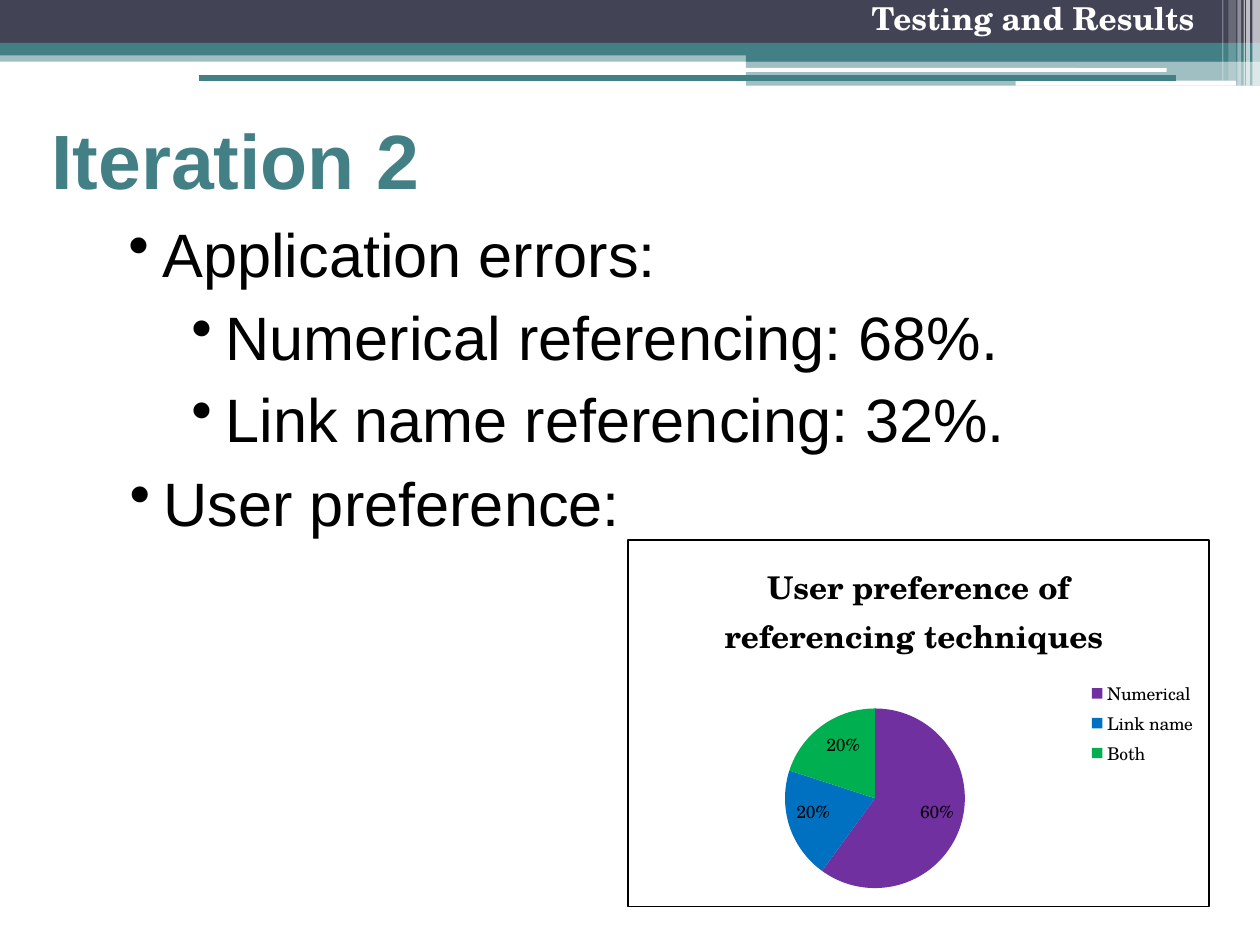
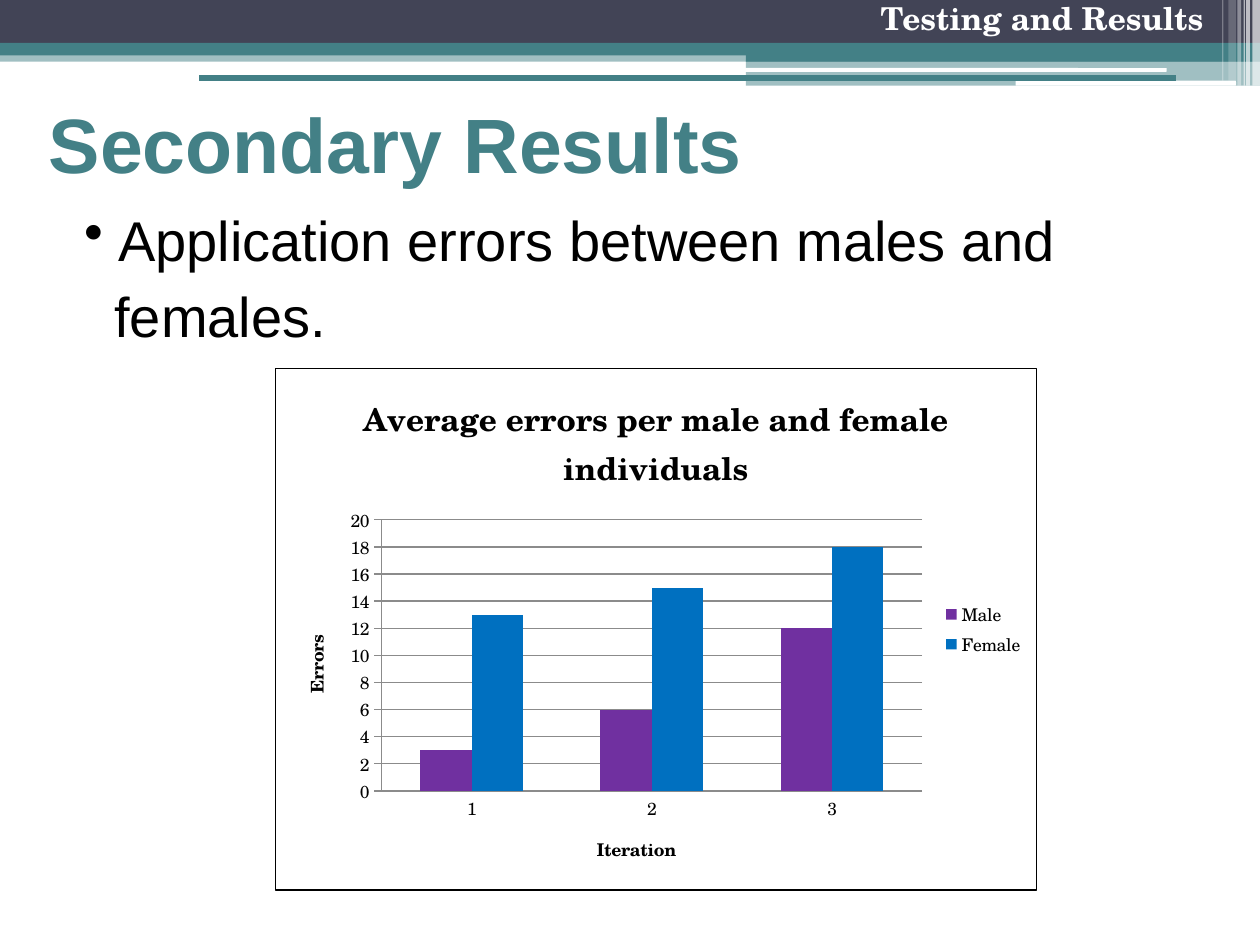
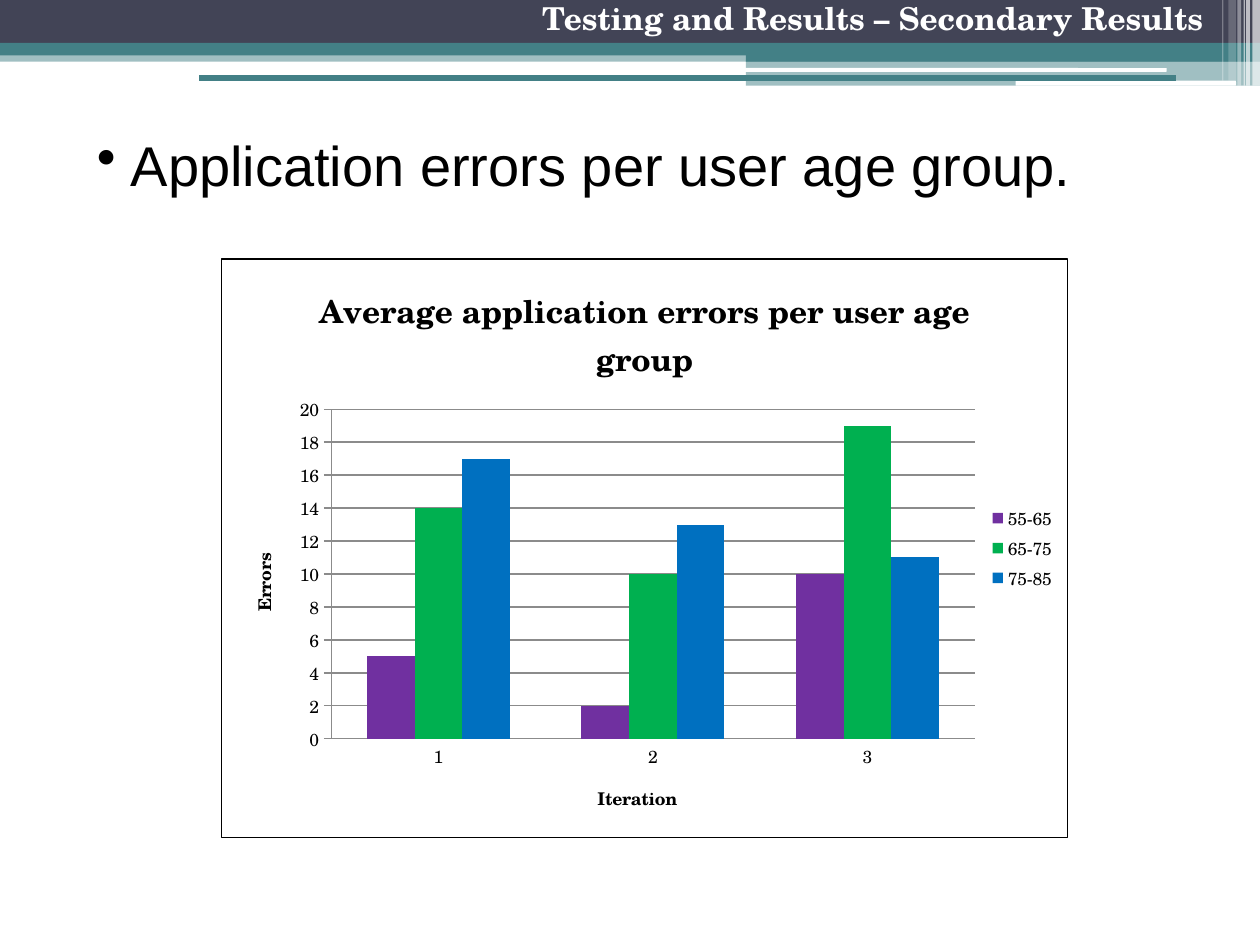
from lxml.etree import SubElement
from pptx import Presentation
from pptx.chart.data import CategoryChartData
from pptx.dml.color import RGBColor
from pptx.enum.chart import XL_CHART_TYPE as ChartType
from pptx.enum.chart import XL_LABEL_POSITION as LabelPosition
from pptx.enum.chart import XL_LEGEND_POSITION as LegendPosition
from pptx.enum.chart import XL_TICK_MARK as TickMark
from pptx.enum.shapes import MSO_CONNECTOR as Connector
from pptx.enum.shapes import MSO_SHAPE as Shape
from pptx.enum.text import MSO_ANCHOR as Anchor
from pptx.enum.text import PP_ALIGN as Align
from pptx.oxml import parse_xml
from pptx.oxml.ns import nsdecls, qn
from pptx.util import Inches, Pt

TEAL, SLATE, WHITE, BLACK = "438086", "424456", "FFFFFF", "000000"
PURPLE, BLUE, GREEN, GRAY = "7030A0", "0070C0", "00B050", "8B8B8B"
SANS, SERIF = "Arial", "TeX Gyre Schola"

# left, top, width, height, colour, opacity in percent
BANDS = [
    (0, 0.4, 10, 0.09, TEAL, 50),
    (0, 0, 10, 0.34, SLATE, 100),
    (0, 0.34, 10, 0.1, TEAL, 100),
    (5.92, 0.39, 4.08, 0.1, TEAL, 100),
    (5.92, 0.48, 4.08, 0.2, TEAL, 50),
]
ROUNDED_BARS = [(5.91, 0.54, 3.35, 0.03), (8.06, 0.64, 1.75, 0.04)]
# left, width, height, opacity in percent
STRIPES = [
    (9.94, 0.06, 0.68, 65),
    (9.89, 0.03, 0.68, 65),
    (9.87, 0.01, 0.68, 60),
    (9.82, 0.03, 0.68, 40),
    (9.75, 0.06, 0.64, 20),
    (9.7, 0.01, 0.64, 30),
]
BULLET_MARGINS = {1: 0.72, 2: 1.22}
HANGING = -0.27


def color(hex_string):
    return RGBColor.from_string(hex_string)


def paint(fill, hex_string):
    fill.solid()
    fill.fore_color.rgb = color(hex_string)


def write(paragraph, text, size=10, font=SERIF, fill=BLACK, bold=False,
          align=None, margin=0, indent=0, before=0, after=0, spacing=None,
          bullet=None):
    """Add one run of text to a paragraph and format both."""
    run = paragraph.add_run()
    run.text = text
    run.font.size, run.font.name, run.font.bold = Pt(size), font, bold
    run.font.color.rgb = color(fill)
    paragraph.alignment = align
    paragraph.space_before, paragraph.space_after = Pt(before), Pt(after)
    paragraph.line_spacing = spacing
    properties = paragraph._p.get_or_add_pPr()
    properties.set("marL", str(Inches(margin)))
    properties.set("indent", str(Inches(indent)))
    if bullet:
        SubElement(properties, qn("a:buChar")).set("char", bullet)


class Deck:
    def __init__(self):
        self.presentation = Presentation()
        self.presentation.slide_width = Inches(10)
        self.presentation.slide_height = Inches(7.5)
        self.slide = None

    def add_slide(self, heading):
        layout = self.presentation.slide_layouts[6]
        self.slide = self.presentation.slides.add_slide(layout)
        for *box, fill, opacity in BANDS:
            self.block(box, fill, opacity)
        for box in ROUNDED_BARS:
            self.block(box, WHITE, kind=Shape.ROUNDED_RECTANGLE)
        for left, width, height, opacity in STRIPES:
            self.block((left, 0, width, height), WHITE, opacity)
        frame = self.text_frame((3.82, 0, 5.83, 0.5))
        write(frame.paragraphs[0], heading, size=18, fill=WHITE, bold=True,
              align=Align.RIGHT, margin=0.3, indent=-0.3, before=3.6,
              spacing=0.8)
        self.line((1.58, 0.62), (9.33, 0.62), TEAL, 3)

    def block(self, box, fill, opacity=100, kind=Shape.RECTANGLE):
        shape = self.slide.shapes.add_shape(kind, *map(Inches, box))
        shape.shadow.inherit = False
        paint(shape.fill, fill)
        shape.line.fill.background()
        if opacity < 100:
            rgb = shape._element.spPr.find(".//" + qn("a:srgbClr"))
            SubElement(rgb, qn("a:alpha")).set("val", str(opacity * 1000))

    def line(self, start, end, fill, width):
        connector = self.slide.shapes.add_connector(
            Connector.STRAIGHT, *map(Inches, start + end))
        connector.line.color.rgb = color(fill)
        connector.line.width = Pt(width)
        SubElement(connector._element.spPr, qn("a:effectLst"))

    def text_frame(self, box, anchor=Anchor.TOP):
        shape = self.slide.shapes.add_textbox(*map(Inches, box))
        frame = shape.text_frame
        frame.word_wrap = True
        frame.vertical_anchor = anchor
        return frame

    def title(self, left, top, text):
        frame = self.text_frame((left, top, 6.84, 1.18), Anchor.MIDDLE)
        write(frame.paragraphs[0], text, size=44, font=SANS, fill=TEAL,
              bold=True)

    def bullets(self, box, size, items, continuation=None):
        """Write (level, text) bullets, then an optional unbulleted line."""
        frame = self.text_frame(box)
        style = dict(size=size, font=SANS, before=3, after=2)
        lines = [(text, dict(margin=BULLET_MARGINS[level], indent=HANGING,
                             bullet="•")) for level, text in items]
        if continuation:
            lines.append((continuation, dict(margin=1.19)))
        for index, (text, layout) in enumerate(lines):
            paragraph = frame.add_paragraph() if index else frame.paragraphs[0]
            write(paragraph, text, **style, **layout)

    def chart(self, kind, box, title, categories, series, plot_area):
        """Add a bordered chart; plot_area holds fractions of its size."""
        data = CategoryChartData()
        data.categories = categories
        for name, values in series:
            data.add_series(name, values)
        chart = self.slide.shapes.add_chart(
            kind, *map(Inches, box), data).chart
        chart.font.size, chart.font.name = Pt(10), SERIF
        chart.font.color.rgb = color(BLACK)
        chart.has_title = True
        write(chart.chart_title.text_frame.paragraphs[0], title, size=18,
              bold=True)
        chart.has_legend = True
        chart.legend.position = LegendPosition.RIGHT
        chart.legend.include_in_layout = False
        self.frame_chart(chart)
        self.place_plot(chart, plot_area)
        return chart

    def frame_chart(self, chart):
        """Give the chart square corners and a thin black border."""
        space = chart._chartSpace
        body = space.find(qn("c:chart"))
        if space.find(qn("c:roundedCorners")) is None:
            body.addprevious(parse_xml(
                f'<c:roundedCorners {nsdecls("c")} val="0"/>'))
        body.addnext(parse_xml(
            f'<c:spPr {nsdecls("c", "a")}><a:noFill/>'
            f'<a:ln w="{Pt(0.75)}"><a:solidFill><a:srgbClr val="{BLACK}"/>'
            '</a:solidFill></a:ln></c:spPr>'))

    def place_plot(self, chart, fractions):
        plot_area = chart._chartSpace.find(".//" + qn("c:plotArea"))
        for old_layout in plot_area.findall(qn("c:layout")):
            plot_area.remove(old_layout)
        settings = [("layoutTarget", "inner"), ("xMode", "edge"),
                    ("yMode", "edge"), *zip("xywh", fractions)]
        layout = parse_xml(f'<c:layout {nsdecls("c")}/>')
        manual = SubElement(layout, qn("c:manualLayout"))
        for tag, value in settings:
            SubElement(manual, qn("c:" + tag)).set("val", str(value))
        plot_area.insert(0, layout)

    def pie_chart(self, box, title, slices, plot_area):
        """Draw slices given as (name, value, colour)."""
        names, values, fills = zip(*slices)
        chart = self.chart(ChartType.PIE, box, title, names,
                           [("Series 1", values)], plot_area)
        plot = chart.plots[0]
        plot.vary_by_categories = True
        for index, fill in enumerate(fills):
            paint(plot.series[0].points[index].format.fill, fill)
        plot.has_data_labels = True
        labels = plot.data_labels
        labels.show_percentage, labels.show_value = True, False
        labels.number_format, labels.number_format_is_linked = "0%", False
        labels.position = LabelPosition.INSIDE_END

    def column_chart(self, box, title, groups, plot_area):
        """Draw errors per iteration for groups of (name, values, colour)."""
        chart = self.chart(ChartType.COLUMN_CLUSTERED, box, title,
                           ["1", "2", "3"],
                           [group[:2] for group in groups], plot_area)
        plot = chart.plots[0]
        plot.vary_by_categories = False
        plot.gap_width, plot.overlap = 150, 0
        for series, (_, _, fill) in zip(plot.series, groups):
            paint(series.format.fill, fill)
            series.invert_if_negative = False
        category_axis, value_axis = chart.category_axis, chart.value_axis
        for axis, name, tick in (
                (category_axis, "Iteration", TickMark.NONE),
                (value_axis, "Errors", TickMark.CROSS)):
            write(axis.axis_title.text_frame.paragraphs[0], name, bold=True)
            axis.major_tick_mark, axis.minor_tick_mark = tick, TickMark.NONE
            axis.format.line.color.rgb = color(GRAY)
        category_axis.has_major_gridlines = False
        value_axis.has_major_gridlines = True
        value_axis.major_gridlines.format.line.color.rgb = color(GRAY)
        value_axis.minimum_scale, value_axis.maximum_scale = 0, 20
        value_axis.major_unit = 2


def main():
    deck = Deck()

    deck.add_slide("Testing and Results ")
    deck.title(0.31, 0.67, "Iteration 2")
    deck.bullets((0.47, 1.67, 8.49, 1.97), 35, [
        (1, "Application errors:"),
        (2, "Numerical referencing: 68%."),
        (2, "Link name referencing: 32%."),
    ])
    deck.pie_chart(
        (4.98, 4.28, 4.62, 2.92),
        "User preference of referencing techniques ",
        [("Numerical", 60, PURPLE), ("Link name", 20, BLUE),
         ("Both", 20, GREEN)],
        (0.27, 0.46, 0.31, 0.49))
    deck.bullets((0.48, 3.64, 8.49, 0.79), 35, [(1, "User preference:")])

    deck.add_slide("Testing and Results")
    deck.bullets((-0.38, 1.58, 11.13, 1.4), 32,
                 [(2, "Application errors between males and")],
                 continuation="females.")
    deck.title(0.29, 0.54, "Secondary Results")
    deck.column_chart(
        (2.18, 2.92, 6.05, 4.15),
        "Average errors per male and female individuals",
        [("Male", (3, 6, 12), PURPLE), ("Female", (13, 15, 18), BLUE)],
        (0.14, 0.29, 0.71, 0.52))

    deck.add_slide("Testing and Results – Secondary Results")
    deck.bullets((-0.28, 0.99, 9.63, 1.16), 32,
                 [(2, "Application errors per user age group.")])
    deck.column_chart(
        (1.75, 2.05, 6.73, 4.6),
        "Average application errors per user age group",
        [("55-65", (5, 2, 10), PURPLE), ("65-75", (14, 10, 19), GREEN),
         ("75-85", (17, 13, 11), BLUE)],
        (0.13, 0.26, 0.76, 0.57))

    deck.presentation.save("out.pptx")


if __name__ == "__main__":
    main()
